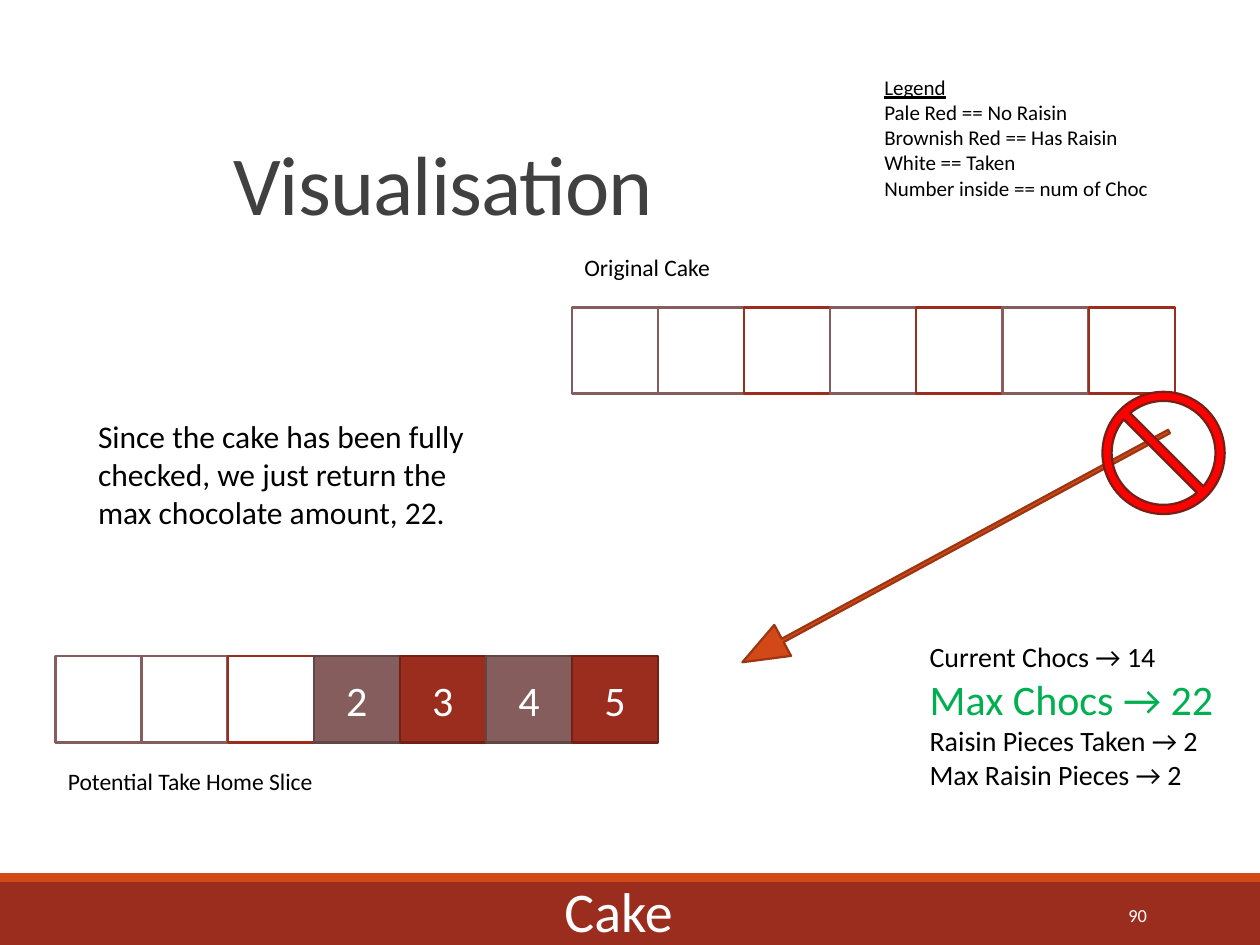
"""Build the cake visualisation slide."""
import pptx
import pptx.dml.color
import pptx.enum.shapes
import pptx.enum.text
import pptx.util

Inches = pptx.util.Inches
SHAPES = pptx.enum.shapes.MSO_SHAPE
ANCHOR = pptx.enum.text.MSO_ANCHOR
ALIGN = pptx.enum.text.PP_ALIGN

FONT = "Calibri"
BLACK, WHITE, GREEN = "000000", "FFFFFF", "00B050"
PALE, PALE_EDGE = "855D5D", "624545"
RAISIN, RAISIN_EDGE = "9B2D1F", "732117"
ORANGE, ORANGE_EDGE = "D34817", "9C3511"
PIECE_SIZE = 4.1 / 6


def color(value):
    """Return the colour for a hex string."""
    return pptx.dml.color.RGBColor.from_string(value)


def format_runs(paragraph, size, text_color, underline=False):
    """Format every run of a paragraph."""
    for run in paragraph.runs:
        run.font.name = FONT
        run.font.size = pptx.util.Pt(size)
        run.font.color.rgb = color(text_color)
        if underline:
            run.font.underline = True


def add_shape(slide, kind, box, fill, line=None):
    """Add a filled preset shape, outlined if a line colour is given."""
    shape = slide.shapes.add_shape(kind, *map(Inches, box))
    shape.shadow.inherit = False
    shape.fill.solid()
    shape.fill.fore_color.rgb = color(fill)
    if line:
        shape.line.color.rgb = color(line)
        shape.line.width = pptx.util.Pt(1.25)
    else:
        shape.line.fill.background()
    return shape


def add_text(slide, box, lines, size, text_color=BLACK, align=ALIGN.LEFT, anchor=None):
    """Add a text box of equally formatted lines; it grows unless anchored."""
    text_frame = slide.shapes.add_textbox(*map(Inches, box)).text_frame
    text_frame.word_wrap = True
    if anchor is None:
        text_frame.auto_size = pptx.enum.text.MSO_AUTO_SIZE.SHAPE_TO_FIT_TEXT
    else:
        text_frame.vertical_anchor = anchor
    text_frame.text = "\n".join(lines)
    for paragraph in text_frame.paragraphs:
        paragraph.alignment = align
        format_runs(paragraph, size, text_color)
    return text_frame


def add_cake(slide, left, top, pieces):
    """Add a row of pieces given as (has raisin, chocolates or None if taken)."""
    for index, (has_raisin, chocolates) in enumerate(pieces):
        base, edge = (RAISIN, RAISIN_EDGE) if has_raisin else (PALE, PALE_EDGE)
        box = (left + index * PIECE_SIZE, top, PIECE_SIZE, PIECE_SIZE)
        if chocolates is None:
            add_shape(slide, SHAPES.RECTANGLE, box, WHITE, base)
            continue
        text_frame = add_shape(slide, SHAPES.RECTANGLE, box, base, edge).text_frame
        text_frame.margin_left = text_frame.margin_right = Inches(0.07)
        text_frame.margin_top = text_frame.margin_bottom = Inches(0.04)
        text_frame.vertical_anchor = ANCHOR.MIDDLE
        text_frame.text = str(chocolates)
        text_frame.paragraphs[0].alignment = ALIGN.CENTER
        format_runs(text_frame.paragraphs[0], 24, WHITE)


def set_title(slide, text):
    """Place and format the title placeholder."""
    title = slide.shapes.title
    title.left, title.top, title.width, title.height = map(Inches, (1.75, 0.31, 8.25, 1.59))
    title.text_frame.text = text
    title.text_frame.vertical_anchor = ANCHOR.BOTTOM
    paragraph = title.text_frame.paragraphs[0]
    paragraph.alignment = ALIGN.LEFT
    paragraph.line_spacing = 0.85
    format_runs(paragraph, 48, "404040")
    paragraph.runs[0]._r.get_or_add_rPr().set("spc", "-50")


def add_footer(slide):
    """Add the footer bars, the topic and the slide number."""
    add_shape(slide, SHAPES.RECTANGLE, (0, 7, 10, 0.5), RAISIN)
    add_shape(slide, SHAPES.RECTANGLE, (0, 6.93, 10, 0.07), ORANGE)
    add_text(slide, (2.79, 6.9, 4.24, 0.64), ["Cake"], 32, WHITE, ALIGN.CENTER, ANCHOR.BOTTOM)
    add_text(slide, (8.12, 7.06, 1.08, 0.4), ["90"], 10.5, WHITE, ALIGN.RIGHT, ANCHOR.MIDDLE)


def add_blocked_move(slide):
    """Add the arrow between the cakes and the sign that blocks it."""
    arrow = add_shape(slide, SHAPES.RIGHT_ARROW, (5.66, 4.2, 3.85, 0.28), ORANGE, ORANGE_EDGE)
    arrow.rotation = 151.6
    arrow.adjustments[0] = 0.11
    arrow.adjustments[1] = 1.3
    sign = add_shape(slide, SHAPES.NO_SYMBOL, (8.75, 3.11, 0.97, 0.97), "FF0000", RAISIN_EDGE)
    sign.adjustments[0] = 0.075


def main():
    """Build and save the presentation."""
    presentation = pptx.Presentation()
    presentation.slide_width, presentation.slide_height = Inches(10), Inches(7.5)
    slide = presentation.slides.add_slide(presentation.slide_layouts[5])
    set_title(slide, "Visualisation")

    raisins = (False, False, True, False, True, False, True)
    add_cake(slide, 4.54, 2.44, [(raisin, None) for raisin in raisins])
    add_text(slide, (4.54, 1.96, 2.02, 0.33), ["Original Cake"], 13.5)
    add_cake(slide, 0.44, 5.21, zip(raisins, (None, None, None, 2, 3, 4, 5)))
    add_text(slide, (0.44, 6.04, 2.28, 0.33), ["Potential Take Home Slice"], 13.5)

    legend = add_text(slide, (6.92, 0.54, 2.95, 1.11), [
        "Legend", "Pale Red == No Raisin", "Brownish Red == Has Raisin",
        "White == Taken", "Number inside == num of Choc"], 12)
    format_runs(legend.paragraphs[0], 12, BLACK, underline=True)
    counts = add_text(slide, (7.28, 5.03, 2.53, 1.31), [
        "Current Chocs → 14", "Max Chocs → 22",
        "Raisin Pieces Taken → 2", "Max Raisin Pieces → 2"], 16)
    format_runs(counts.paragraphs[1], 24, GREEN)
    add_text(slide, (0.68, 3.26, 3.17, 1.01), [
        "Since the cake has been fully checked, "
        "we just return the max chocolate amount, 22."], 18)

    add_blocked_move(slide)
    add_footer(slide)
    presentation.save("out.pptx")


if __name__ == "__main__":
    main()
